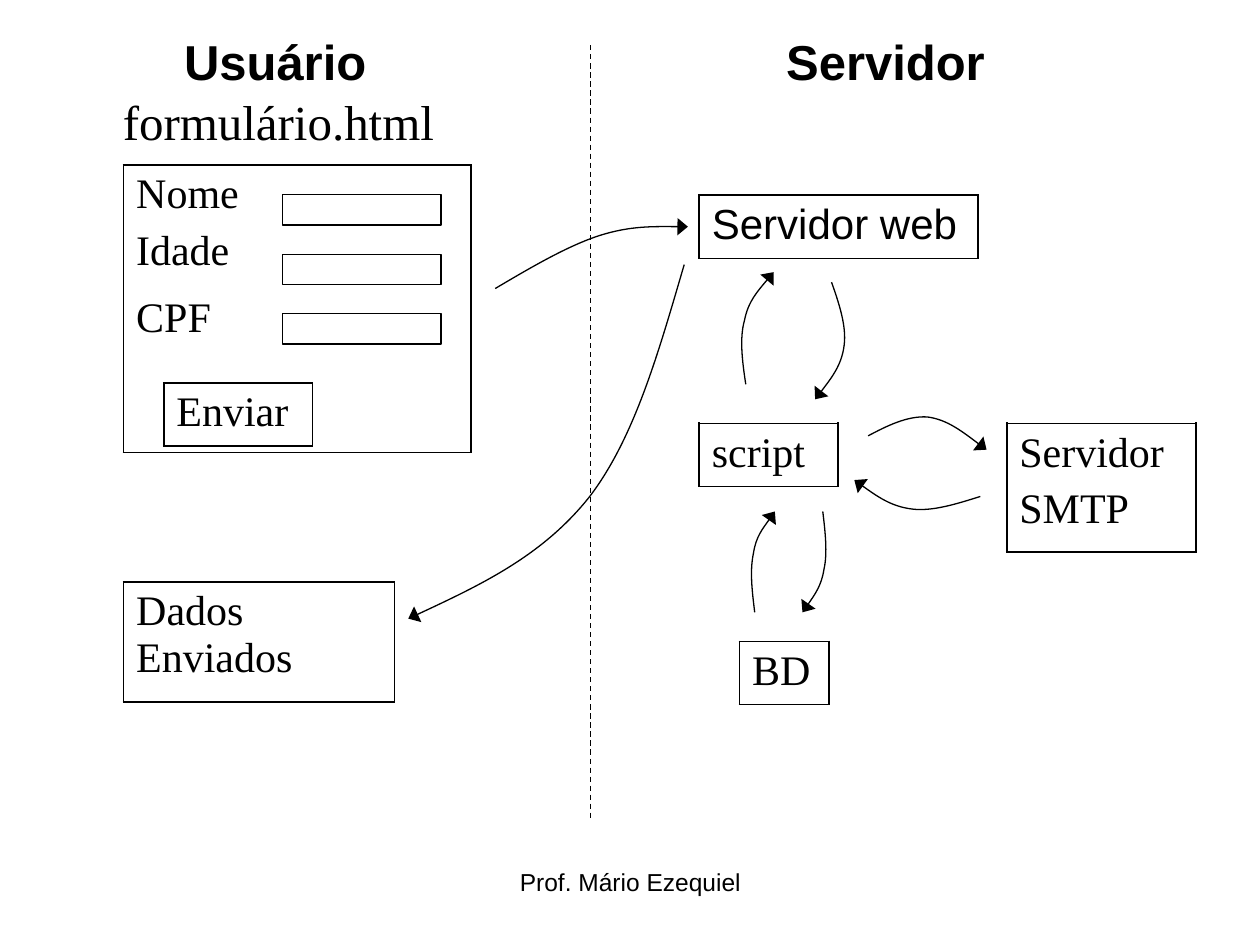
import dataclasses

import lxml.etree
import pptx
import pptx.dml.color
import pptx.enum.dml
import pptx.enum.shapes
import pptx.enum.text
import pptx.oxml.ns
import pptx.util

Pt = pptx.util.Pt
qn = pptx.oxml.ns.qn


@dataclasses.dataclass(frozen=True)
class Theme:
    ink: str = "000000"
    paper: str = "FFFFFF"
    sans: str = "Arial"
    serif: str = "Times New Roman"
    heading_size: float = 28
    label_size: float = 24
    footer_size: float = 14
    thin: float = 0.75
    border: float = 1.08
    paragraph_gap: float = 6
    heading_top: float = 15.1
    heading_inset: float = 3.1


class Diagram:
    def __init__(self, slide, theme):
        self.slide = slide
        self.theme = theme
        self.ink = pptx.dml.color.RGBColor.from_string(theme.ink)
        self.paper = pptx.dml.color.RGBColor.from_string(theme.paper)

    def format_runs(self, paragraph, size, font, bold=False):
        for run in paragraph.runs:
            run.font.size = Pt(size)
            run.font.name = font
            run.font.bold = bold
            run.font.color.rgb = self.ink

    def outline(self, line):
        line.color.rgb = self.ink
        line.width = Pt(self.theme.thin)

    def user_heading(self, heading, subtitle, heading_indent, subtitle_indent):
        body = self.slide.placeholders[1]
        body.left, body.top, body.width, body.height = map(
            Pt, (36, self.theme.heading_top, 664.6, 467.3))
        frame = body.text_frame
        frame.auto_size = pptx.enum.text.MSO_AUTO_SIZE.NONE
        frame.vertical_anchor = pptx.enum.text.MSO_ANCHOR.TOP
        frame.margin_top = Pt(self.theme.heading_inset)
        frame.text = heading + "\n" + subtitle
        first, second = frame.paragraphs
        for paragraph, indent, gap in ((first, heading_indent, 0), (second, subtitle_indent, 0.7)):
            paragraph.space_before = Pt(gap)
            properties = paragraph._p.get_or_add_pPr()
            properties.set("marL", str(Pt(indent)))
            properties.set("indent", "0")
            lxml.etree.SubElement(properties, qn("a:buNone"))
        self.format_runs(first, self.theme.heading_size, self.theme.sans, bold=True)
        self.format_runs(second, self.theme.heading_size, self.theme.serif)

    def text_box(self, text, left, top, width, height):
        box = self.slide.shapes.add_textbox(*map(Pt, (left, top, width, height)))
        box.text_frame.word_wrap = True
        box.text_frame.text = text
        return box.text_frame

    def server_heading(self, text, left, width, height):
        frame = self.text_box(text, left, self.theme.heading_top, width, height)
        frame.margin_top = Pt(self.theme.heading_inset)
        self.format_runs(
            frame.paragraphs[0], self.theme.heading_size, self.theme.sans, bold=True)

    def footer(self, text, left, top, width, height):
        paragraph = self.text_box(text, left, top, width, height).paragraphs[0]
        paragraph.alignment = pptx.enum.text.PP_ALIGN.CENTER
        self.format_runs(paragraph, self.theme.footer_size, self.theme.sans)

    def boxed_text(self, text, left, top, width, height, font=None):
        """Add a bordered one-cell table and return its paragraphs."""
        frame = self.slide.shapes.add_table(1, 1, *map(Pt, (left, top, width, height)))
        table = frame.table
        table.first_row = table.horz_banding = False
        cell = table.cell(0, 0)
        cell.text_frame.text = text
        for index, paragraph in enumerate(cell.text_frame.paragraphs):
            paragraph.space_before = Pt(self.theme.paragraph_gap if index else 0)
            self.format_runs(paragraph, self.theme.label_size, font or self.theme.serif)
        properties = cell._tc.get_or_add_tcPr()
        for side in ("a:lnL", "a:lnR", "a:lnT", "a:lnB"):
            border = lxml.etree.SubElement(
                properties, qn(side), w=str(Pt(self.theme.border)))
            fill = lxml.etree.SubElement(border, qn("a:solidFill"))
            lxml.etree.SubElement(fill, qn("a:srgbClr"), val=self.theme.ink)
        cell.fill.background()
        return cell.text_frame.paragraphs

    def input_field(self, left, top, width, height):
        shape = self.slide.shapes.add_shape(
            pptx.enum.shapes.MSO_SHAPE.RECTANGLE, *map(Pt, (left, top, width, height)))
        shape.shadow.inherit = False
        shape.fill.solid()
        shape.fill.fore_color.rgb = self.paper
        self.outline(shape.line)

    def dashed_line(self, x, top, bottom):
        line = self.slide.shapes.add_connector(
            pptx.enum.shapes.MSO_CONNECTOR.STRAIGHT, *map(Pt, (x, top, x, bottom)))
        self.outline(line.line)
        line.line.dash_style = pptx.enum.dml.MSO_LINE.DASH
        lxml.etree.SubElement(line._element.spPr, qn("a:effectLst"))

    def curved_arrow(self, start, *points):
        """Draw Bezier curves from start; each three points form one curve."""
        builder = self.slide.shapes.build_freeform(*map(Pt, start))
        builder.add_line_segments([tuple(map(Pt, point)) for point in points], close=False)
        shape = builder.convert_to_shape()
        shape.shadow.inherit = False
        shape.fill.background()
        self.outline(shape.line)
        segments = list(shape._element.iter(qn("a:lnTo")))
        for first in range(0, len(segments), 3):
            curve = lxml.etree.Element(qn("a:cubicBezTo"))
            segments[first].addprevious(curve)
            for segment in segments[first:first + 3]:
                curve.append(segment[0])
                segment.getparent().remove(segment)
        lxml.etree.SubElement(
            shape.line._get_or_add_ln(), qn("a:tailEnd"), type="triangle", w="lg", len="med")


def main():
    presentation = pptx.Presentation()
    presentation.slide_width, presentation.slide_height = Pt(720), Pt(540)
    slide = presentation.slides.add_slide(presentation.slide_layouts[1])
    title = slide.shapes.title._element
    title.getparent().remove(title)
    theme = Theme()
    diagram = Diagram(slide, theme)

    diagram.footer("Prof. Mário Ezequiel", 246.2, 491.8, 228.2, 37.4)
    diagram.user_heading("Usuário", "formulário.html", 62, 27)
    diagram.server_heading("Servidor", 442.2, 150, 40)

    user_left, server_left, script_top, row = 70.6, 399.6, 241.9, 36
    form_labels = diagram.boxed_text("Nome\nIdade\nCPF", user_left, 94.3, 198.7, 164.2)
    form_labels[2].space_before = Pt(11.5)
    diagram.boxed_text("Enviar", 93.6, 218.9, 85, row)
    diagram.boxed_text("Servidor web", server_left, 111.6, 159.1, row, theme.sans)
    for index in range(len(form_labels)):
        diagram.input_field(161.3, 111.3 + 34 * index, 90.7, 17.3)
    diagram.boxed_text("script", server_left, script_top, 79.2, row)
    diagram.boxed_text("BD", 422.6, 366.5, 51.1, row)
    diagram.boxed_text("Servidor\nSMTP", 575.3, script_top, 108, 73.4)
    diagram.boxed_text("Dados Enviados", user_left, 332.6, 154.8, 68.4)
    diagram.dashed_line(337.4, 25.9, 468.7)

    arrows = {
        "form to web server": (
            (283, 164.9), (303.8, 152.6), (324.7, 140.4), (342.7, 134.6),
            (360.7, 128.9), (377.3, 129.6), (393.1, 129.6)),
        "web server to script": (
            (475.2, 161.3), (479.5, 173.5), (483.8, 186.5), (482.4, 197.3),
            (481, 208.8), (473, 218.9), (465.8, 228.2)),
        "script to web server": (
            (426.2, 219.6), (424.1, 205.9), (422.6, 193), (425.5, 182.9),
            (427.7, 172.1), (434.9, 164.2), (442.1, 155.5)),
        "script to mail server": (
            (496.1, 249.1), (506.9, 243.4), (518.4, 237.6), (529.9, 238.3),
            (541.4, 239.8), (552.2, 248.4), (563.8, 257)),
        "mail server to script": (
            (560.2, 283.7), (546.5, 288), (532.8, 292.3), (521.3, 290.9),
            (509, 289.4), (498.2, 281.5), (488.2, 274.3)),
        "database to script": (
            (431.3, 349.9), (429.8, 337.7), (428.4, 326.2), (430.6, 316.1),
            (432, 306.7), (437.8, 299.5), (442.8, 292.3)),
        "script to database": (
            (470.2, 292.3), (471.6, 303.8), (473, 316.1), (470.9, 325.4),
            (469.4, 334.8), (463.7, 342.7), (458.6, 349.9)),
        "web server to sent data": (
            (391, 151.2), (376.6, 200.2), (362.9, 249.8), (337, 283.7),
            (310.3, 317.5), (272.2, 335.5), (233.3, 353.5)),
    }
    for points in arrows.values():
        diagram.curved_arrow(*points)
    presentation.save("out.pptx")


if __name__ == "__main__":
    main()
